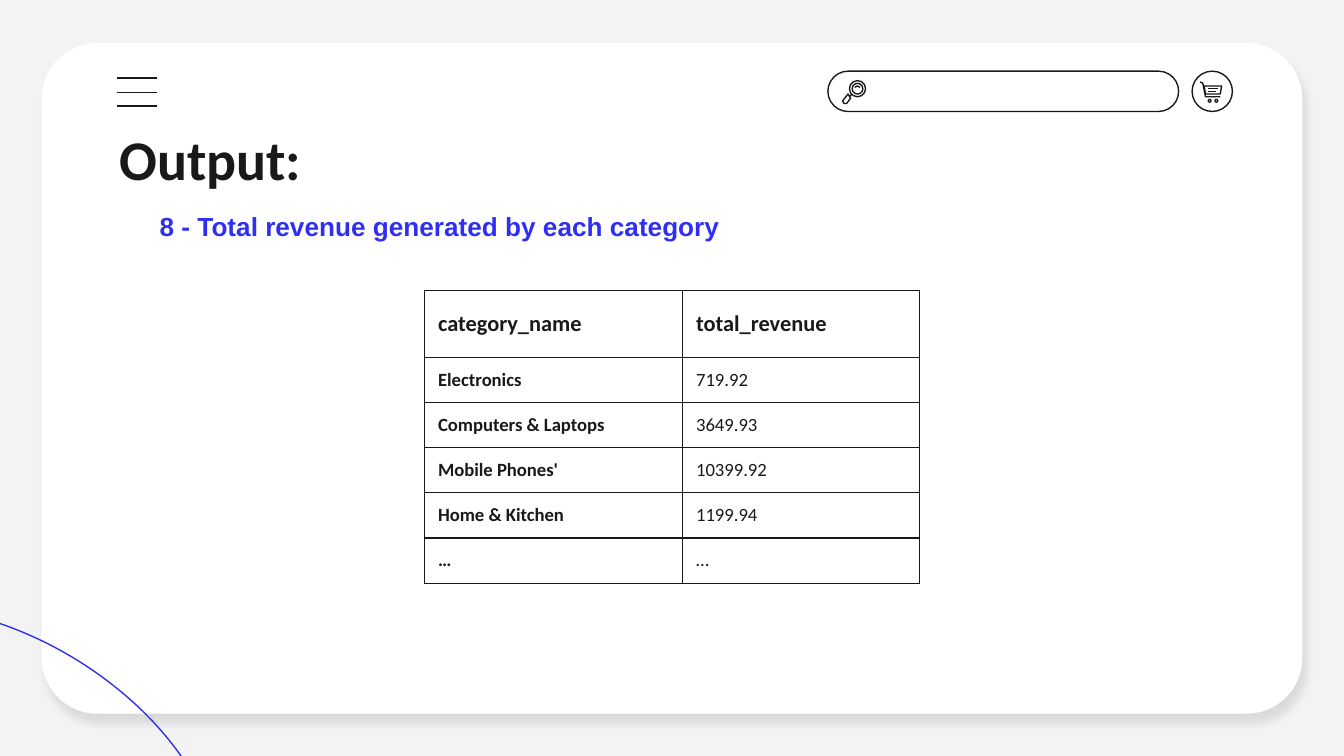
from lxml import etree
from pptx import Presentation
from pptx.dml.color import RGBColor
from pptx.enum.shapes import MSO_CONNECTOR, MSO_SHAPE
from pptx.enum.text import MSO_ANCHOR
from pptx.oxml import parse_xml
from pptx.oxml.ns import nsdecls, qn
from pptx.util import Inches, Pt

# Content
TITLE = "Output:"
SUBTITLE = "8 - Total revenue generated by each category"
REVENUE = [
    ("category_name", "total_revenue"),
    ("Electronics", "719.92"),
    ("Computers & Laptops", "3649.93"),
    ("Mobile Phones'", "10399.92"),
    ("Home & Kitchen", "1199.94"),
    ("…", "…"),
]
COLUMN_WIDTHS = (1.92, 1.76)
TABLE_HEIGHT, HEADER_HEIGHT = 2.18, 0.5

COLORS = {"back": "F3F3F3", "panel": "FFFFFF", "ink": "191919", "accent": "2F2FF4"}
LINE_WIDTH = 0.75

# Icon outlines
MENU_LINES = [(0.87, y, 1.17, y) for y in (0.58, 0.69, 0.79)]
LENS_RINGS = [(6.32, 0.6, 0.12, 0.12), (6.34, 0.62, 0.08, 0.08)]
LENS_PATHS = [
    ([(6.31, 0.7), (6.33, 0.73), (6.3, 0.77), (6.28, 0.77), (6.27, 0.75)], True),
    ([(6.32, 0.72), (6.34, 0.7)], False),
    ([(6.36, 0.65), (6.38, 0.64), (6.4, 0.65)], False),
]
CART_WHEELS = [(x, 0.74, 0.02, 0.02) for x in (8.99, 9.04)]
CART_PATHS = [
    ([(8.96, 0.64), (9.09, 0.64), (9.08, 0.7), (8.97, 0.7)], True),
    ([(8.93, 0.61), (8.95, 0.62), (8.97, 0.72), (9.08, 0.72)], False),
]
CART_BARS = [(8.99, 0.66, 9.06, 0.66), (8.99, 0.68, 9.05, 0.68)]


def color(name):
    return RGBColor.from_string(COLORS[name])


def style(shape, fill=None, line=None):
    shape.shadow.inherit = False
    if fill:
        shape.fill.solid()
        shape.fill.fore_color.rgb = color(fill)
    else:
        shape.fill.background()
    if line:
        shape.line.color.rgb = color(line)
        shape.line.width = Pt(LINE_WIDTH)
    else:
        shape.line.fill.background()
    return shape


def add_shape(kind, box, **look):
    return style(slide.shapes.add_shape(kind, *map(Inches, box)), **look)


def add_line(ends):
    line = slide.shapes.add_connector(MSO_CONNECTOR.STRAIGHT, *map(Inches, ends))
    line.line.color.rgb = color("ink")
    line.line.width = Pt(LINE_WIDTH)
    etree.SubElement(line._element.spPr, qn("a:effectLst"))


def add_path(points, closed):
    start, *rest = [(Inches(x), Inches(y)) for x, y in points]
    outline = slide.shapes.build_freeform(*start)
    outline.add_line_segments(rest, close=closed)
    style(outline.convert_to_shape(), line="ink")


def write(frame, text, size, font="Calibri", ink="ink", bold=True):
    run = frame.paragraphs[0].add_run()
    run.text = text
    run.font.size, run.font.name, run.font.bold = Pt(size), font, bold
    run.font.color.rgb = color(ink)


def add_text(box, text, anchor, **look):
    frame = slide.shapes.add_textbox(*map(Inches, box)).text_frame
    frame.word_wrap = True
    frame.vertical_anchor = anchor
    frame.margin_left = frame.margin_right = Inches(0.1)
    frame.margin_top = frame.margin_bottom = Inches(0.1)
    write(frame, text, **look)


def add_borders(cell):
    properties = cell._tc.get_or_add_tcPr()
    for index, side in enumerate(("lnL", "lnR", "lnT", "lnB")):
        properties.insert(index, parse_xml(
            f'<a:{side} {nsdecls("a")} w="{Pt(LINE_WIDTH)}"><a:solidFill>'
            f'<a:srgbClr val="{COLORS["ink"]}"/></a:solidFill></a:{side}>'))


# Widescreen 16:9 slide
presentation = Presentation()
presentation.slide_width = Inches(10)
presentation.slide_height = Inches(10 * 9 / 16)
slide = presentation.slides.add_slide(presentation.slide_layouts[6])
slide.background.fill.solid()
slide.background.fill.fore_color.rgb = color("back")

# Panel with a soft shadow, and the corner curve
panel = add_shape(MSO_SHAPE.ROUNDED_RECTANGLE, (0.31, 0.32, 9.38, 4.99), fill="panel")
panel.adjustments[0] = 0.083
panel._element.spPr.find(qn("a:effectLst")).append(parse_xml(
    f'<a:outerShdw {nsdecls("a")} blurRad="{Pt(4.5)}" dist="{Pt(6)}" dir="{68 * 60000}" '
    'algn="bl" rotWithShape="0"><a:srgbClr val="000000"><a:alpha val="10000"/>'
    '</a:srgbClr></a:outerShdw>'))
curve = add_shape(MSO_SHAPE.OVAL, (-1.89, 4.73, 3.68, 2.31), line="accent")
curve.rotation = 31.1

# Menu, search bar and cart
search_bar = add_shape(MSO_SHAPE.ROUNDED_RECTANGLE, (6.16, 0.53, 2.61, 0.3), line="ink")
search_bar.adjustments[0] = 0.5
add_shape(MSO_SHAPE.OVAL, (8.87, 0.53, 0.3, 0.3), line="ink")
for ring in LENS_RINGS + CART_WHEELS:
    add_shape(MSO_SHAPE.OVAL, ring, line="ink")
for points, closed in LENS_PATHS + CART_PATHS:
    add_path(points, closed)
for ends in MENU_LINES + CART_BARS:
    add_line(ends)

# Headings
add_text((0.79, 0.83, 8.43, 0.63), TITLE, MSO_ANCHOR.TOP, size=30)
add_text((1.09, 1.4, 4.56, 0.5), SUBTITLE, MSO_ANCHOR.BOTTOM,
         size=14, font="Arial", ink="accent")

# Revenue table
body_rows = len(REVENUE) - 1
row_heights = [HEADER_HEIGHT] + [(TABLE_HEIGHT - HEADER_HEIGHT) / body_rows] * body_rows
table = slide.shapes.add_table(
    len(REVENUE), len(COLUMN_WIDTHS), Inches(3.16), Inches(2.16),
    Inches(sum(COLUMN_WIDTHS)), Inches(TABLE_HEIGHT)).table
table.first_row = table.horz_banding = False
for column, width in zip(table.columns, COLUMN_WIDTHS):
    column.width = Inches(width)
for r, (values, height) in enumerate(zip(REVENUE, row_heights)):
    table.rows[r].height = Inches(height)
    for c, value in enumerate(values):
        cell = table.cell(r, c)
        cell.fill.background()
        cell.vertical_anchor = MSO_ANCHOR.MIDDLE
        cell.margin_left = cell.margin_right = Inches(0.1)
        cell.margin_top = cell.margin_bottom = Inches(0 if r else 0.05)
        add_borders(cell)
        write(cell.text_frame, value, size=10 if r else 12, bold=r == 0 or c == 0)

presentation.save("out.pptx")
